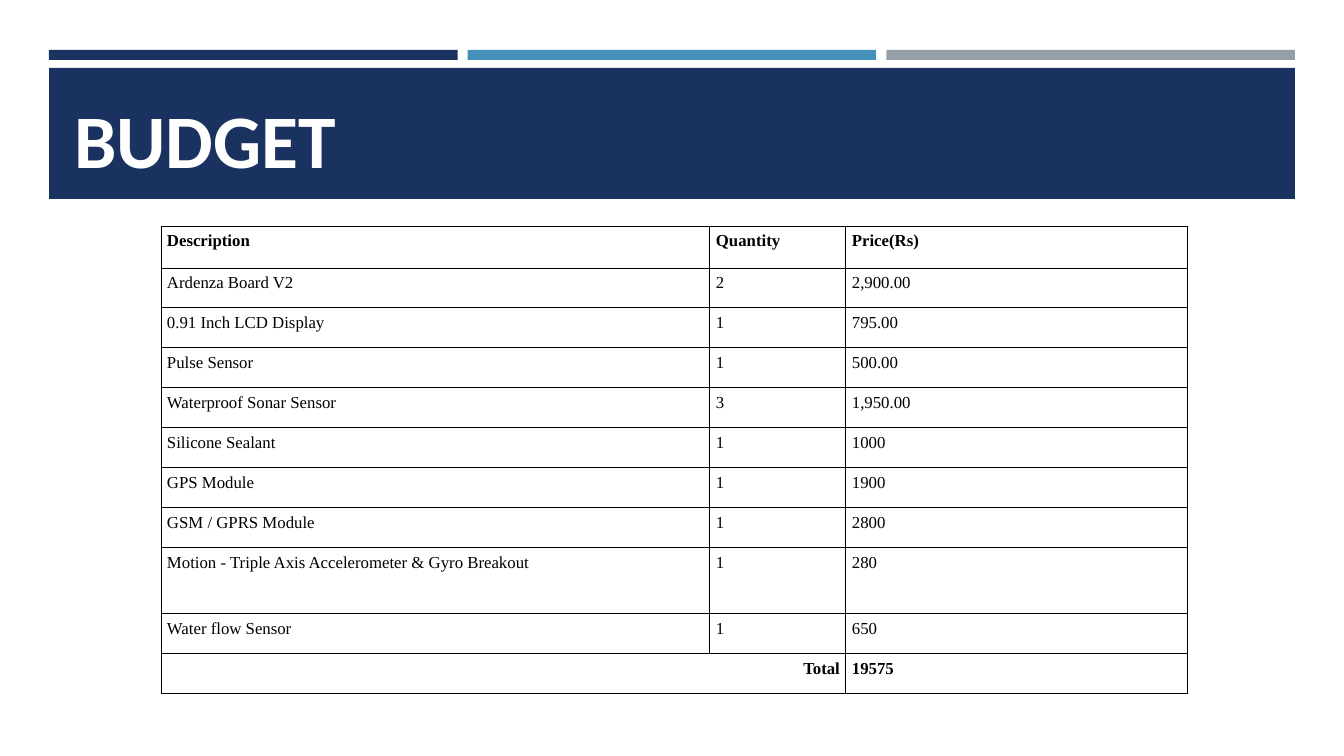
from lxml import etree
from pptx import Presentation
from pptx.dml.color import RGBColor
from pptx.enum.shapes import MSO_SHAPE
from pptx.enum.text import MSO_ANCHOR, MSO_AUTO_SIZE, PP_ALIGN
from pptx.oxml.ns import qn
from pptx.util import Emu, Pt

RECTANGLE = MSO_SHAPE.RECTANGLE
BOTTOM, TOP = MSO_ANCHOR.BOTTOM, MSO_ANCHOR.TOP
LEFT, RIGHT = PP_ALIGN.LEFT, PP_ALIGN.RIGHT
NO_AUTOFIT = MSO_AUTO_SIZE.NONE

EMU_PER_PX = 914400 / 100.8
SLIDE_WIDTH, SLIDE_HEIGHT = 1344, 756
TITLE_ONLY_LAYOUT = 5

COLORS = {
    "navy": "1A3260",
    "blue": "4590B8",
    "gray": "969FA7",
    "white": "FFFFFF",
    "black": "000000",
}
HEADING_FONT, TABLE_FONT = "Calibri", "Times New Roman"

HEADER = ("Description", "Quantity", "Price(Rs)")
ITEMS = [
    ("Ardenza Board V2", "2", "2,900.00"),
    ("0.91 Inch LCD Display", "1", "795.00"),
    ("Pulse Sensor", "1", "500.00"),
    ("Waterproof Sonar Sensor", "3", "1,950.00"),
    ("Silicone Sealant", "1", "1000"),
    ("GPS Module", "1", "1900"),
    ("GSM / GPRS Module", "1", "2800"),
    ("Motion - Triple Axis Accelerometer & Gyro Breakout", "1", "280"),
    ("Water flow Sensor", "1", "650"),
]
TOTAL = ("Total", "", "19575")
COLUMN_WIDTHS = (549, 136, 342)
ROW_HEIGHTS = (42, *[40] * 7, 66, 40, 40)


def px(length):
    return Emu(round(length * EMU_PER_PX))


def rgb(name):
    return RGBColor.from_string(COLORS[name])


def write(frame, text, *, font, size, color, bold=False, align=LEFT):
    paragraph = frame.paragraphs[0]
    paragraph.alignment = align
    run = paragraph.add_run()
    run.text = text
    run.font.name = font
    run.font.size = Pt(size)
    run.font.bold = bold
    run.font.color.rgb = rgb(color)


def add_block(slide, left, top, width, height, color):
    block = slide.shapes.add_shape(RECTANGLE, px(left), px(top), px(width), px(height))
    block.shadow.inherit = False
    block.fill.solid()
    block.fill.fore_color.rgb = rgb(color)
    block.line.fill.background()


def add_accent_bars(slide, left, top, width, height):
    gap = 10
    colors = ("navy", "blue", "gray")
    bar_width = (width - gap * (len(colors) - 1)) / len(colors)
    for index, color in enumerate(colors):
        add_block(slide, left + index * (bar_width + gap), top, bar_width, height, color)


def add_title_banner(slide, left, top, width, height):
    add_block(slide, left, top, width, height, "navy")
    title = slide.shapes.title
    slide.shapes._spTree.append(title._element)  # bring in front of the banner
    title.left, title.top = px(left + 15), px(top + 9)
    title.width, title.height = px(width - 30), px(height - 19)
    frame = title.text_frame
    frame.word_wrap = True
    frame.auto_size = NO_AUTOFIT
    frame.vertical_anchor = BOTTOM
    frame.margin_left = frame.margin_right = px(10)
    frame.margin_top = frame.margin_bottom = px(5)
    write(frame, "BUDGET", font=HEADING_FONT, size=54, color="white", bold=True)


def set_borders(cell, color, points):
    properties = cell._tc.get_or_add_tcPr()
    for position, side in enumerate(("a:lnL", "a:lnR", "a:lnT", "a:lnB")):
        border = etree.Element(qn(side), w=str(Pt(points)))
        fill = etree.SubElement(border, qn("a:solidFill"))
        etree.SubElement(fill, qn("a:srgbClr"), val=COLORS[color])
        properties.insert(position, border)


def add_budget_table(slide, left, top):
    rows = [HEADER, *ITEMS, TOTAL]
    last = len(rows) - 1
    table = slide.shapes.add_table(
        len(rows), len(HEADER), px(left), px(top),
        px(sum(COLUMN_WIDTHS)), px(sum(ROW_HEIGHTS)),
    ).table
    table.first_row = table.horz_banding = False
    for column, width in zip(table.columns, COLUMN_WIDTHS):
        column.width = px(width)
    for row, height in zip(table.rows, ROW_HEIGHTS):
        row.height = px(height)
    table.cell(last, 0).merge(table.cell(last, 1))

    for r, values in enumerate(rows):
        for c, value in enumerate(values):
            cell = table.cell(r, c)
            cell.fill.background()
            set_borders(cell, "black", 0.79)
            if cell.is_spanned:
                continue
            cell.vertical_anchor = TOP
            cell.margin_left = cell.margin_right = px(6)
            cell.margin_top = cell.margin_bottom = px(6)
            write(cell.text_frame, value, font=TABLE_FONT, size=12, color="black",
                  bold=r in (0, last), align=RIGHT if cell.is_merge_origin else LEFT)


def main():
    presentation = Presentation()
    presentation.slide_width = px(SLIDE_WIDTH)
    presentation.slide_height = px(SLIDE_HEIGHT)
    slide = presentation.slides.add_slide(presentation.slide_layouts[TITLE_ONLY_LAYOUT])
    add_accent_bars(slide, 49, 50, 1246, 10)
    add_title_banner(slide, 49, 68, 1246, 131)
    add_budget_table(slide, 161, 226)
    presentation.save("out.pptx")


if __name__ == "__main__":
    main()
